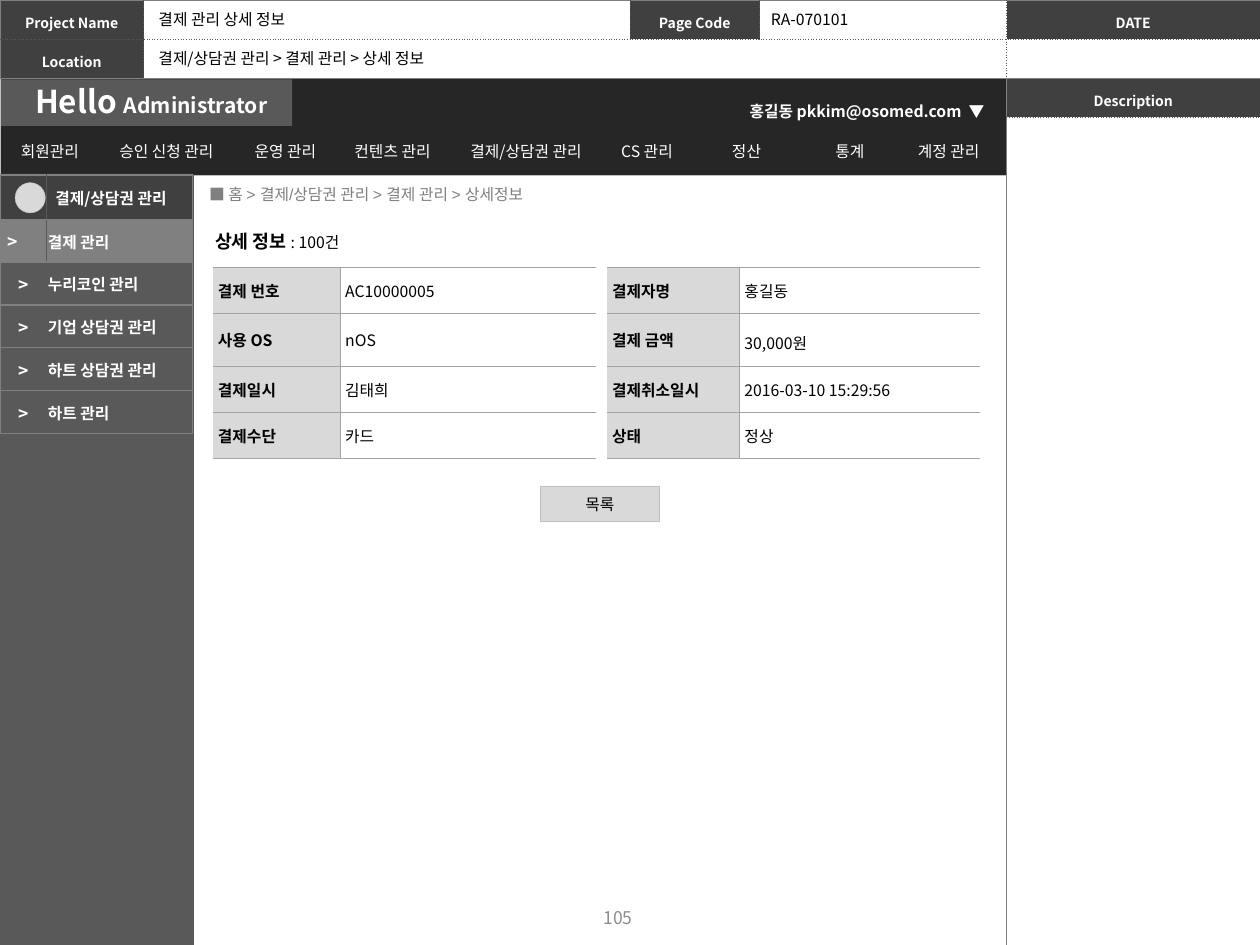
from lxml.etree import SubElement
from pptx import Presentation
from pptx.dml.color import RGBColor
from pptx.enum.shapes import MSO_SHAPE
from pptx.enum.text import MSO_ANCHOR, PP_ALIGN
from pptx.oxml import parse_xml
from pptx.oxml.ns import nsdecls, qn
from pptx.util import Inches, Pt

WHITE = RGBColor(0xFF, 0xFF, 0xFF)
BLACK = RGBColor(0, 0, 0)
NIGHT = RGBColor(0x26, 0x26, 0x26)
CHARCOAL = RGBColor(0x40, 0x40, 0x40)
SLATE = RGBColor(0x59, 0x59, 0x59)
GRAY = RGBColor(0x80, 0x80, 0x80)
PAGE_GRAY = RGBColor(0x8C, 0x8C, 0x8C)
RULE_GRAY = RGBColor(0xA5, 0xA5, 0xA5)
EDGE_GRAY = RGBColor(0xBF, 0xBF, 0xBF)
PALE = RGBColor(0xD9, 0xD9, 0xD9)
FONT = "Noto Sans CJK KR"
NO_TABLE_STYLE = "{2D5ABB26-0587-4C30-8999-92F81FD0307C}"

presentation = Presentation()
presentation.slide_width = Inches(10)
presentation.slide_height = Inches(7.5)
slide = presentation.slides.add_slide(presentation.slide_layouts[6])
# The slide is a grid of 100 columns by 75 rows of square units.
UNIT = presentation.slide_width // 100


def write(frame, text, size=9, color=BLACK, bold=False, font=FONT, align=None, spacing=None):
    """Append a run to the first paragraph of the frame."""
    paragraph = frame.paragraphs[0]
    if align is not None:
        paragraph.alignment = align
    if spacing:
        paragraph.line_spacing = spacing
    if not text:
        SubElement(paragraph._p, qn("a:endParaRPr"), sz=str(size * 100))
        return
    run = paragraph.add_run()
    run.text = text
    run.font.size = Pt(size)
    run.font.bold = bold
    run.font.color.rgb = color
    run.font.name = font
    SubElement(run._r.get_or_add_rPr(), qn("a:ea"), typeface=FONT)


def add_box(kind, left, top, width, height, fill, edge=None):
    shape = slide.shapes.add_shape(kind, *(int(v * UNIT) for v in (left, top, width, height)))
    shape.shadow.inherit = False
    shape.fill.solid()
    shape.fill.fore_color.rgb = fill
    if edge is None:
        shape.line.fill.background()
    else:
        shape.line.color.rgb = edge
        shape.line.width = Pt(0.25)
    return shape


# Bars and button
add_box(MSO_SHAPE.RECTANGLE, 0, 6.2, 79.9, 7.7, NIGHT, EDGE_GRAY)
add_box(MSO_SHAPE.RECTANGLE, 0.1, 6.3, 23.1, 3.7, SLATE)
add_box(MSO_SHAPE.RECTANGLE, 0, 13.8, 15.4, 61.2, SLATE)
list_button = add_box(MSO_SHAPE.RECTANGLE, 42.9, 38.6, 9.4, 2.8, PALE, EDGE_GRAY)
list_button.text_frame.vertical_anchor = MSO_ANCHOR.MIDDLE
write(list_button.text_frame, "목록", align=PP_ALIGN.CENTER)

# Table cells: text, fill, insets (left, top, right, bottom), text format
label = dict(size=8, color=WHITE, bold=True, align=PP_ALIGN.CENTER, spacing=1.3)
header_texts = [["Project Name", "", "Page Code", "", "DATE"], ["Location", "", "", "", ""]]
header_cells = [[(text, CHARCOAL if text else None, (0.4,) * 4, label) for text in row]
                for row in header_texts]
description_cells = [[("Description", CHARCOAL, (0.8, 0.4, 0.8, 0.4), label)],
                     [("", None, (0.8, 0.4, 0.8, 0.4), label)]]

navigation_texts = ["회원관리", "승인 신청 관리", "운영 관리", "컨텐츠 관리", "결제/상담권 관리",
                    "CS 관리", "정산", "통계", "계정 관리"]
navigation_cells = [[(text, None, (1, 0.5, 1, 0.5), dict(color=WHITE, align=PP_ALIGN.CENTER))
                     for text in navigation_texts]]

detail_texts = [["결제 번호", "AC10000005", "", "결제자명", "홍길동"],
                ["사용 OS", "nOS", "", "결제 금액", "30,000원"],
                ["결제일시", "김태희", "", "결제취소일시", "2016-03-10 15:29:56"],
                ["결제수단", "카드", "", "상태", "정상"]]
detail_cells = [[(text, PALE if column in (0, 3) else WHITE, (0.4, 0.1, 0.1, 0),
                  dict(bold=column in (0, 3), spacing=1.2 if text == "30,000원" else None))
                 for column, text in enumerate(row)] for row in detail_texts]

menu_rows = [("", "결제/상담권 관리", CHARCOAL, 0.1, 0.7), (">", "결제 관리", GRAY, 1.8, 0.1)]
menu_rows += [(">", text, SLATE, 0.1, 0.1) for text in
              ("누리코인 관리", "기업 상담권 관리", "하트 상담권 관리", "하트 관리")]
menu_cells = [[(mark, fill, (0.1, 0.1, mark_right, 0),
                dict(size=10, color=WHITE, bold=True, align=PP_ALIGN.CENTER)),
               (text, fill, (text_left, 0.1, 0.1, 0), dict(color=WHITE, bold=True))]
              for mark, text, fill, mark_right, text_left in menu_rows]

# Lines: colour, width, dash; one for each column and row boundary
solid = (GRAY, 0.5, "solid")
dotted = (SLATE, 0.5, "sysDot")
night = (NIGHT, 1, "solid")
rule = (RULE_GRAY, 0.5, "solid")
menu_line = (GRAY, 1, "solid")
menu_inner = (SLATE, 1, "solid")

# Left, top, column widths, row heights, cells, column lines, row lines
tables = [
    (0, 0, [11.4, 38.6, 10.3, 19.6, 20.1], [3.1] * 2, header_cells,
     [solid] + [dotted] * 4 + [solid], [solid, dotted, solid]),
    (79.9, 6.2, [20.1], [3.1, 65.7], description_cells, [solid] * 2, [solid, dotted, solid]),
    (0.2, 10.4, [7.5, 11, 7.9, 9.1, 12.1, 7.1, 8.7, 7.7, 8], [3.1], navigation_cells,
     [night] * 10, [night] * 2),
    (16.9, 21.2, [10.1, 20.3, 0.7, 10.5, 19.1], [3.65, 4.2, 3.65, 3.65], detail_cells,
     [None, rule, None, None, rule, None], [rule] * 5),
    (0, 13.9, [3.7, 11.6], [3.5] + [3.4] * 5, menu_cells,
     [menu_line, menu_inner, menu_line], [menu_line] * 7),
]
for left, top, widths, heights, cells, column_lines, row_lines in tables:
    frame = slide.shapes.add_table(len(heights), len(widths), int(left * UNIT), int(top * UNIT),
                                   int(sum(widths) * UNIT), int(sum(heights) * UNIT))
    table = frame.table
    table.first_row = table.horz_banding = False
    table._tbl.tblPr.find(qn("a:tableStyleId")).text = NO_TABLE_STYLE
    for column, width in zip(table.columns, widths):
        column.width = int(width * UNIT)
    for row, height in zip(table.rows, heights):
        row.height = int(height * UNIT)
    if cells is header_cells:
        table.cell(1, 1).merge(table.cell(1, 3))
    for r, row in enumerate(cells):
        for c, (text, fill, insets, text_format) in enumerate(row):
            cell = table.cell(r, c)
            cell.vertical_anchor = MSO_ANCHOR.MIDDLE
            (cell.margin_left, cell.margin_top,
             cell.margin_right, cell.margin_bottom) = (int(v * UNIT) for v in insets)
            write(cell.text_frame, text, **text_format)
            if fill is None:
                cell.fill.background()
            else:
                cell.fill.solid()
                cell.fill.fore_color.rgb = fill
            is_gap = cells is detail_cells and c == 2
            sides = [("L", column_lines[c]), ("R", column_lines[c + 1]),
                     ("T", None if is_gap else row_lines[r]),
                     ("B", None if is_gap else row_lines[r + 1])]
            for position, (side, line) in enumerate(sides):
                if line:
                    color, width, dash = line
                    paint = (f'<a:solidFill><a:srgbClr val="{color}"/></a:solidFill>'
                             f'<a:prstDash val="{dash}"/>')
                else:
                    width, paint = 0, "<a:noFill/>"
                border = parse_xml(f'<a:ln{side} {nsdecls("a")} w="{Pt(width)}">{paint}</a:ln{side}>')
                cell._tc.get_or_add_tcPr().insert(position, border)

add_box(MSO_SHAPE.OVAL, 1.2, 14.5, 2.4, 2.4, PALE, EDGE_GRAY)

# Left, top, width, height, wrap, anchor, left inset, runs
account = dict(color=WHITE, bold=True, spacing=1.2)
TOP, MIDDLE = MSO_ANCHOR.TOP, MSO_ANCHOR.MIDDLE
text_boxes = [
    (1.8, 6, 20.9, 4, False, TOP, 1, [("Hello ", dict(size=18, color=WHITE, bold=True)),
                                      ("Administrator", dict(size=12, color=WHITE, bold=True))]),
    (58.2, 7.3, 19.4, 2.6, True, TOP, 1,
     [("홍길동 pkkim@osomed.com", dict(account, align=PP_ALIGN.CENTER))]),
    (75.9, 7.3, 3.3, 2.6, False, TOP, 1, [("▼", account)]),
    (14.6, 13.7, 62.2, 3.4, True, MIDDLE, 2,
     [("■ 홈 > 결제/상담권 관리 > 결제 관리 > 상세정보", dict(color=GRAY, font="Arial"))]),
    (16.1, 17.8, 13, 2.8, False, TOP, 1, [("상세 정보 ", dict(size=10.5, bold=True)),
                                          (": 100건", {})]),
    (11.6, 0.3, 13.4, 2.5, False, TOP, 1, [("결제 관리 상세 정보", {})]),
    (60.2, 0.3, 8.3, 2.5, False, TOP, 1, [("RA-070101", {})]),
    (11.6, 3.4, 26.3, 2.5, False, TOP, 1, [("결제/상담권 관리 > 결제 관리 > 상세 정보", {})]),
    (37.4, 70.8, 23.3, 4, True, MIDDLE, 1,
     [("105", dict(size=10, color=PAGE_GRAY, align=PP_ALIGN.CENTER))]),
]
for left, top, width, height, wrap, anchor, inset, runs in text_boxes:
    text_box = slide.shapes.add_textbox(*(int(v * UNIT) for v in (left, top, width, height)))
    text_frame = text_box.text_frame
    text_frame.word_wrap = wrap
    text_frame.vertical_anchor = anchor
    text_frame.margin_left = inset * UNIT
    for text, text_format in runs:
        write(text_frame, text, **text_format)

presentation.save("out.pptx")
